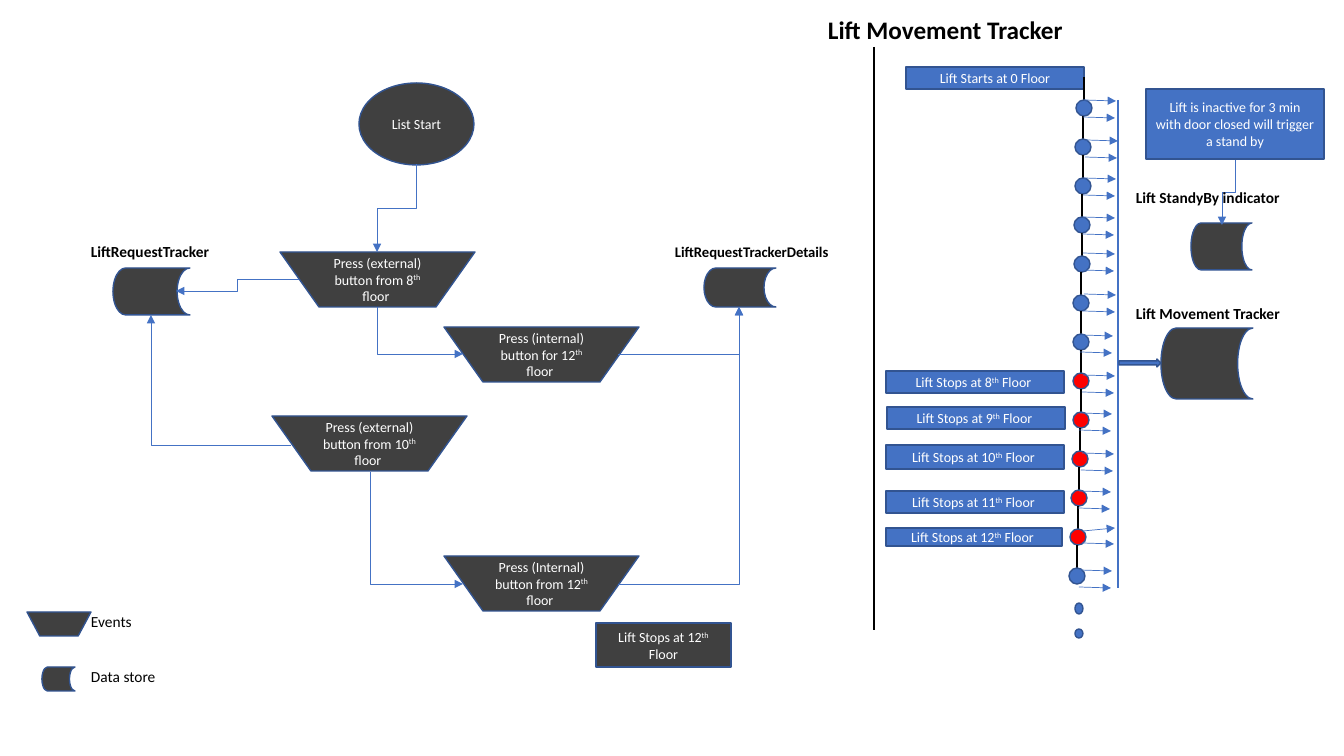
from dataclasses import dataclass

from lxml import etree
from pptx import Presentation
from pptx.dml.color import RGBColor
from pptx.enum.shapes import MSO_CONNECTOR, MSO_SHAPE
from pptx.enum.text import MSO_ANCHOR, MSO_AUTO_SIZE, PP_ALIGN
from pptx.oxml.ns import qn
from pptx.util import Pt

STRAIGHT, ELBOW = MSO_CONNECTOR.STRAIGHT, MSO_CONNECTOR.ELBOW
OVAL, BOX = MSO_SHAPE.OVAL, MSO_SHAPE.FLOWCHART_PROCESS
EVENT = MSO_SHAPE.FLOWCHART_MANUAL_OPERATION
STORE = MSO_SHAPE.FLOWCHART_STORED_DATA
ARROW = MSO_SHAPE.RIGHT_ARROW
MIDDLE, CENTER, LEFT = MSO_ANCHOR.MIDDLE, PP_ALIGN.CENTER, PP_ALIGN.LEFT
FIT = MSO_AUTO_SIZE.SHAPE_TO_FIT_TEXT
EMU_PER_PX = 914400 / 100.8


@dataclass(frozen=True)
class Theme:
    font: str = "Calibri"
    dark: str = "404040"
    blue: str = "4472C4"
    edge: str = "325491"
    red: str = "FF0000"
    black: str = "000000"
    white: str = "FFFFFF"
    title: float = 18
    label: float = 11
    small_label: float = 10.5
    body: float = 10
    hairline: float = 0.5
    thin: float = 1
    thick: float = 1.5


def px(value):
    return round(value * EMU_PER_PX)


class Diagram:
    def __init__(self, slide, theme):
        self.slide, self.theme = slide, theme

    def add_text(self, tf, text, color, size, bold=False, align=LEFT):
        """Parts between | marks are superscript."""
        p = tf.paragraphs[0]
        p.alignment = align
        fmt = {"name": self.theme.font, "size": Pt(size), "bold": bold}
        for i, part in enumerate(text.split("|")):
            r = p.add_run()
            r.text = part
            for key, value in fmt.items():
                setattr(r.font, key, value)
            r.font.color.rgb = RGBColor.from_string(color)
            if i % 2:
                r._r.get_or_add_rPr().set("baseline", "30000")

    def shape(self, kind, x, y, w, h, fill, text=""):
        s = self.slide.shapes.add_shape(kind, px(x), px(y), px(w), px(h))
        s.shadow.inherit = False
        s.fill.solid()
        s.fill.fore_color.rgb = RGBColor.from_string(fill)
        s.line.color.rgb = RGBColor.from_string(self.theme.edge)
        s.line.width = Pt(self.theme.thin)
        if text:
            s.text_frame.word_wrap = True
            s.text_frame.vertical_anchor = MIDDLE
            self.add_text(s.text_frame, text, self.theme.white, self.theme.body, align=CENTER)

    def label(self, x, y, w, h, text, size, bold=True, wrap=False):
        tf = self.slide.shapes.add_textbox(px(x), px(y), px(w), px(h)).text_frame
        for key, value in {"word_wrap": wrap, "auto_size": FIT}.items():
            setattr(tf, key, value)
        self.add_text(tf, text, self.theme.black, size, bold)

    def line(self, x1, y1, x2, y2, color, width, arrow=False, kind=STRAIGHT):
        s = self.slide.shapes.add_connector(kind, px(x1), px(y1), px(x2), px(y2))
        s.line.color.rgb = RGBColor.from_string(color)
        s.line.width = Pt(width)
        sp_pr = s._element.spPr
        if arrow:
            etree.SubElement(sp_pr.find(qn("a:ln")), qn("a:tailEnd"), type="triangle")
        etree.SubElement(sp_pr, qn("a:effectLst"))
        return sp_pr

    def arrow(self, x1, y1, x2, y2):
        self.line(x1, y1, x2, y2, self.theme.blue, self.theme.hairline, True)

    def elbow(self, x1, y1, x2, y2, segments, down_first=False):
        if down_first:  # lay the line out sideways, then turn it a quarter
            cx, cy = (x1 + x2) / 2, (y1 + y2) / 2
            dx, dy = (x2 - x1) / 2, (y2 - y1) / 2
            x1, y1, x2, y2 = cx - dy, cy + dx, cx + dy, cy - dx
        sp_pr = self.line(x1, y1, x2, y2, self.theme.blue, self.theme.hairline, True, ELBOW)
        sp_pr.find(qn("a:prstGeom")).set("prst", f"bentConnector{segments}")
        if down_first:
            sp_pr.find(qn("a:xfrm")).set("rot", "5400000")


theme = Theme()
prs = Presentation()
prs.slide_width, prs.slide_height = px(1344), px(756)
d = Diagram(prs.slides.add_slide(prs.slide_layouts[6]), theme)

# Request flow: start, events and result
d.shape(OVAL, 359, 83, 115, 82, theme.dark, "List Start")
for x, y, text in [
    (280, 252, "Press (external) button from 8|th| floor "),
    (444, 327, "Press (internal) button for 12|th| floor "),
    (272, 416, "Press (external) button from 10|th| floor "),
    (444, 556, "Press (Internal) button from 12|th| floor "),
]:
    d.shape(EVENT, x, y, 195, 55, theme.dark, text)
d.shape(BOX, 596, 623, 135, 44, theme.dark, "Lift Stops at 12|th| Floor")

# Data stores and legend symbols
for x, y, w, h in [(113, 268, 77, 47), (704, 268, 72, 39), (1161, 328, 92, 71),
                   (1191, 223, 61, 47), (42, 667, 33, 24)]:
    d.shape(STORE, x, y, w, h, theme.dark)
d.shape(EVENT, 27, 612, 64, 24, theme.dark)

# Flow connectors
for x1, y1, x2, y2, segments, down_first in [
    (416, 164, 377, 252, 3, True),
    (377, 307, 463, 354, 2, True),
    (370, 472, 463, 584, 2, True),
    (1235, 159, 1222, 225, 3, True),
    (299, 279, 176, 291, 3, False),
    (618, 354, 739, 307, 2, False),
    (618, 584, 739, 307, 2, False),
    (291, 445, 151, 315, 2, False),
]:
    d.elbow(x1, y1, x2, y2, segments, down_first)

# Tracker panel: divider and floor boxes
d.line(874, 47, 874, 630, theme.black, theme.thick)
d.shape(BOX, 906, 67, 178, 22, theme.blue, "Lift Starts at 0 Floor")
for floor, x, y, w, h in [(8, 886, 371, 178, 22), (9, 887, 407, 178, 22),
                          (10, 886, 445, 178, 24), (11, 886, 491, 178, 22),
                          (12, 886, 528, 176, 18)]:
    d.shape(BOX, x, y, w, h, theme.blue, f"Lift Stops at {floor}|th| Floor ")
d.shape(BOX, 1146, 89, 178, 70, theme.blue,
        "Lift is inactive for 3 min with door closed will trigger a stand by")

# Lift path, one node per floor: node centre x, arrow x, arrow y
FLOORS = [(1084, 1084, 100), (1083, 1086, 140), (1083, 1084, 178), (1082, 1083, 217),
          (1082, 1083, 253), (1081, 1084, 294), (1081, 1081, 335), (1081, 1083, 375),
          (1081, 1080, 413), (1080, 1082, 453), (1079, 1079, 491), (1078, 1083, 531),
          (1077, 1080, 570)]
STOPS = range(7, 12)
NODE, STEP = 16, 39
for i, (x, _, _) in enumerate(FLOORS):
    top = 100 + i * STEP
    d.line(x, top - 23, x, top + 1, theme.black, theme.thick)
    d.shape(OVAL, x - NODE / 2, top, NODE, NODE, theme.red if i in STOPS else theme.blue)
for i, (_, x, y) in enumerate(FLOORS):
    drop, gap = (-3, 12) if i == STOPS[-1] else (1, 17)
    d.arrow(x, y, x + 32, y + drop)
    d.arrow(x - 1, y + gap, x + 31, y + gap + 1)
for y, h in [(603, 11), (629, 9)]:
    d.shape(OVAL, 1075, y, 8, h, theme.blue)

# Collector line into the movement store
d.line(1118, 100, 1118, 588, theme.blue, theme.thin)
d.shape(ARROW, 1119, 359, 42, 8, theme.blue)

# Labels
d.label(818, 9, 296, 40, "Lift Movement Tracker", theme.title, wrap=True)
d.label(81, 237, 142, 29, "LiftRequestTracker", theme.label)
d.label(665, 238, 179, 28, "LiftRequestTrackerDetails", theme.small_label)
d.label(1126, 299, 167, 29, "Lift Movement Tracker", theme.label)
d.label(1126, 183, 167, 29, "Lift StandyBy indicator", theme.label)
d.label(81, 607, 62, 29, "Events", theme.label, bold=False)
d.label(81, 662, 86, 29, "Data store", theme.label, bold=False)

prs.save("out.pptx")
